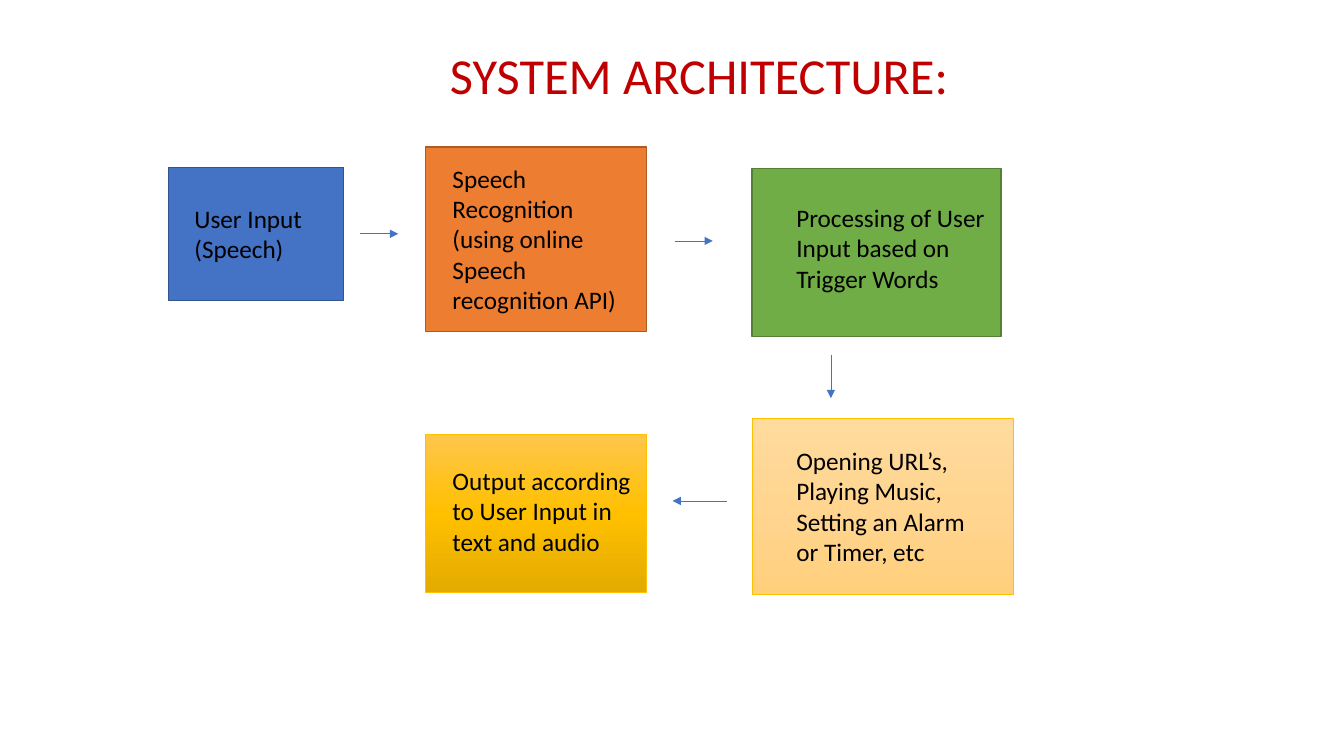
from copy import deepcopy
from dataclasses import dataclass

from lxml.etree import SubElement
from pptx import Presentation
from pptx.dml.color import RGBColor
from pptx.enum.shapes import MSO_CONNECTOR, MSO_SHAPE
from pptx.enum.text import MSO_ANCHOR, MSO_AUTO_SIZE, PP_ALIGN
from pptx.oxml.ns import qn
from pptx.slide import Slide
from pptx.text.text import TextFrame
from pptx.util import Inches, Pt

WIDTH, HEIGHT = Inches(13.33), Inches(7.5)
FONT = "Calibri"
COLORS = {
    "title": "C00000", "text": "000000", "arrow": "4472C4",
    "blue": "4472C4", "blue edge": "325491",
    "orange": "ED7D31", "orange edge": "AF5C24",
    "green": "70AD47", "green edge": "538035",
    "gold edge": "FFC000",
    "peach top": "FFDB9E", "peach middle": "FFD590", "peach bottom": "FFD07C",
    "gold top": "FFC64B", "gold middle": "FFC000", "gold bottom": "E3AB00",
}

# Left edges of the three columns, in percent of the slide's width
INPUT_COL, SPEECH_COL, ACTION_COL = 12.53, 31.66, 55.96


@dataclass(frozen=True)
class Frame:
    """Left, top, width and height in percent of the slide's size."""
    left: float
    top: float
    width: float
    height: float

    def emu(self) -> tuple[int, int, int, int]:
        return (across(self.left), down(self.top),
                across(self.width), down(self.height))


@dataclass(frozen=True)
class Stage:
    box: Frame
    label: Frame
    text: str
    fills: tuple[str, ...]
    edge: str
    edge_width: float


@dataclass(frozen=True)
class Arrow:
    x1: float
    y1: float
    x2: float
    y2: float


STAGES = (
    Stage(Frame(INPUT_COL, 22.13, 13.05, 17.6),
          Frame(INPUT_COL + 1.2, 26.27, 13.05, 9.47),
          "User Input\n(Speech)", ("blue",), "blue edge", 1),
    Stage(Frame(SPEECH_COL, 19.47, 16.43, 24.4),
          Frame(SPEECH_COL + 1.27, 20.93, 13.88, 21.6),
          "Speech Recognition (using online Speech recognition API)",
          ("orange",), "orange edge", 1),
    Stage(Frame(ACTION_COL, 22.27, 18.53, 22.27),
          Frame(ACTION_COL + 2.55, 26.13, 16.88, 13.47),
          "Processing of User Input based on Trigger Words",
          ("green",), "green edge", 1),
    Stage(Frame(ACTION_COL, 55.33, 19.43, 23.33),
          Frame(ACTION_COL + 2.55, 58.27, 15.98, 17.47),
          "Opening URL’s, Playing Music, Setting an Alarm or Timer, etc",
          ("peach top", "peach middle", "peach bottom"), "gold edge", 0.5),
    Stage(Frame(SPEECH_COL, 57.47, 16.43, 20.93),
          Frame(SPEECH_COL + 1.27, 60.93, 15.15, 13.47),
          "Output according to User Input in text and audio",
          ("gold top", "gold middle", "gold bottom"), "gold edge", 0.5),
)

ARROWS = (
    Arrow(26.78, 30.93, 29.63, 30.93),
    Arrow(50.19, 31.87, 53.04, 31.87),
    Arrow(61.82, 46.93, 61.82, 52.67),
    Arrow(54.09, 66.27, 50.04, 66.27),
)


def across(percent: float) -> int:
    return round(WIDTH * percent / 100)


def down(percent: float) -> int:
    return round(HEIGHT * percent / 100)


def rgb(name: str) -> RGBColor:
    return RGBColor.from_string(COLORS[name])


def write(frame: TextFrame, text: str, size: float, color: str) -> None:
    frame.text = text
    frame.word_wrap = True
    for paragraph in frame.paragraphs:
        for run in paragraph.runs:
            run.font.name = FONT
            run.font.size = Pt(size)
            run.font.color.rgb = rgb(color)


def draw_title(slide: Slide) -> None:
    title = slide.shapes.title
    title.left, title.top, title.width, title.height = Frame(
        18.3, 6.13, 67.44, 19.33).emu()
    write(title.text_frame, "SYSTEM ARCHITECTURE:", 36, "title")
    title.text_frame.auto_size = MSO_AUTO_SIZE.NONE
    title.text_frame.vertical_anchor = MSO_ANCHOR.TOP
    heading = title.text_frame.paragraphs[0]
    heading.alignment = PP_ALIGN.CENTER
    heading.line_spacing = 0.9


def draw_stage(slide: Slide, stage: Stage) -> None:
    box = slide.shapes.add_shape(MSO_SHAPE.RECTANGLE, *stage.box.emu())
    box.shadow.inherit = False
    box.line.color.rgb = rgb(stage.edge)
    box.line.width = Pt(stage.edge_width)
    if len(stage.fills) == 1:
        box.fill.solid()
        box.fill.fore_color.rgb = rgb(stage.fills[0])
    else:
        box.fill.gradient()
        box.fill.gradient_angle = 270
        # The default gradient has two stops; add the middle one
        first = box._element.spPr.find(".//" + qn("a:gs"))
        first.addnext(deepcopy(first))
        for stop, position, color in zip(
                box.fill.gradient_stops, (0, 0.5, 1), stage.fills):
            stop.position = position
            stop.color.rgb = rgb(color)

    label = slide.shapes.add_textbox(*stage.label.emu())
    write(label.text_frame, stage.text, 18, "text")


def draw_arrow(slide: Slide, arrow: Arrow) -> None:
    connector = slide.shapes.add_connector(
        MSO_CONNECTOR.STRAIGHT, across(arrow.x1), down(arrow.y1),
        across(arrow.x2), down(arrow.y2))
    connector.line.color.rgb = rgb("arrow")
    connector.line.width = Pt(0.5)
    SubElement(connector.line._get_or_add_ln(), qn("a:tailEnd"), type="triangle")
    SubElement(connector._element.spPr, qn("a:effectLst"))


def main() -> None:
    presentation = Presentation()
    presentation.slide_width, presentation.slide_height = WIDTH, HEIGHT
    slide = presentation.slides.add_slide(presentation.slide_layouts[5])

    draw_title(slide)
    # Stages of the assistant, then the flow between them
    for stage in STAGES:
        draw_stage(slide, stage)
    for arrow in ARROWS:
        draw_arrow(slide, arrow)

    presentation.save("out.pptx")


if __name__ == "__main__":
    main()
